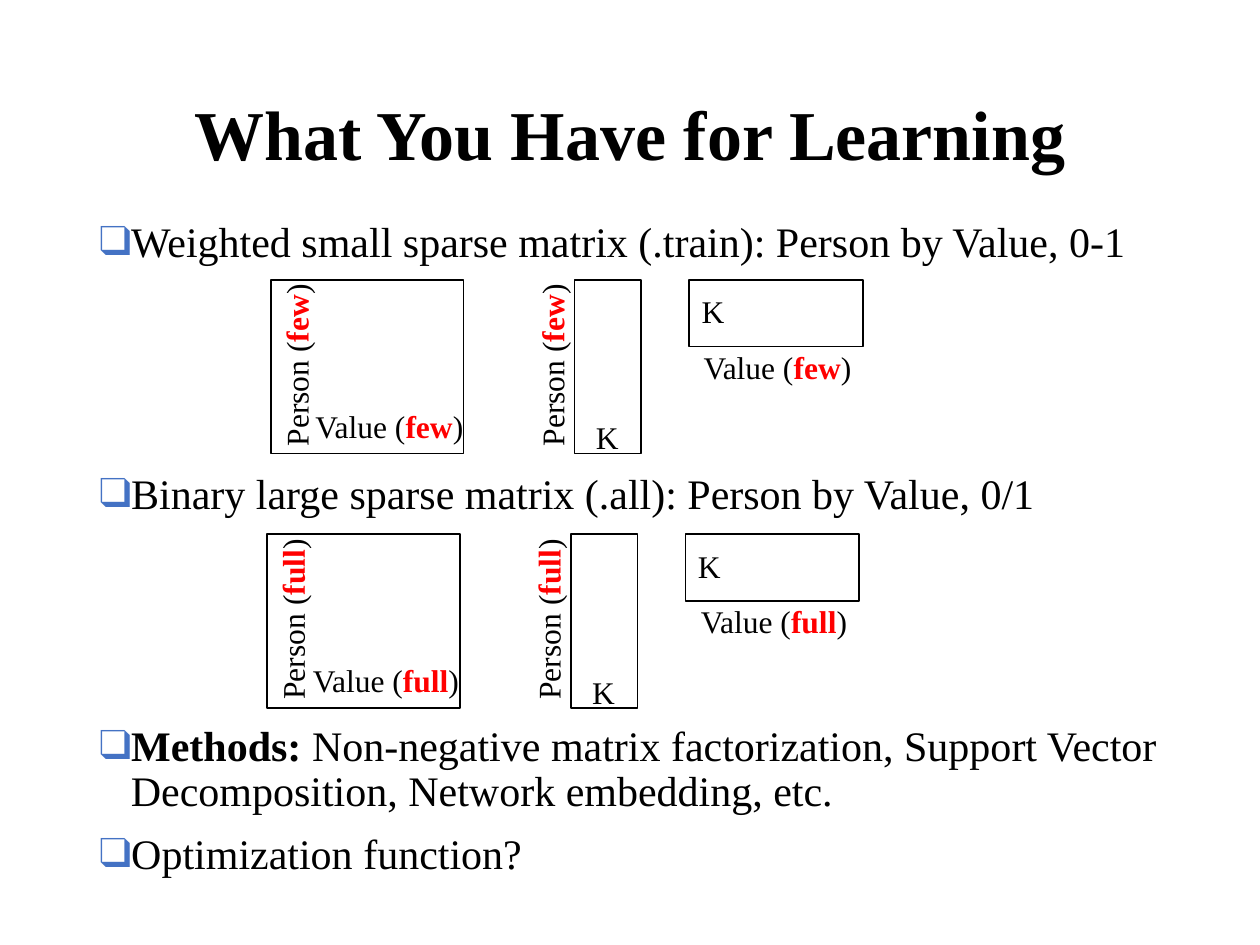
from dataclasses import dataclass

import pptx
import pptx.dml.color
import pptx.enum.shapes
import pptx.enum.text
import pptx.oxml
import pptx.oxml.ns
import pptx.util
from pptx.util import Inches

COLORS = {"text": "000000", "accent": "FF0000", "bullet": "4472C4"}
FONT = "Times New Roman"


@dataclass(frozen=True)
class Run:
    text: str
    bold: bool = False
    color: str = "text"


@dataclass(frozen=True)
class Matrix:
    left: float
    top: float
    width: float
    height: float


@dataclass(frozen=True)
class Label:
    text: str
    center_x: float
    center_y: float
    width: float
    rotation: int = 0
    sized: bool = True


@dataclass(frozen=True)
class Diagram:
    size: str
    left: float
    top: float
    trim: float


@dataclass(frozen=True)
class Bullet:
    runs: tuple[Run, ...]
    space_before: float


MATRICES = (
    Matrix(0, 0, 1.53, 1.38),
    Matrix(2.41, 0, 0.53, 1.38),
    Matrix(3.32, 0, 1.38, 0.53),
)
LABELS = (
    Label("Value", 0.95, 1.16, 1.39),
    Label("Person", 0.2, 0.67, 1.5, 270),
    Label("Person", 2.23, 0.67, 1.5, 270),
    Label("Value", 4.03, 0.69, 1.39),
    Label("K", 2.67, 1.25, 0.38, sized=False),
    Label("K", 3.51, 0.25, 0.38, sized=False),
)
DIAGRAMS = (Diagram("few", 2.15, 2.22, 0), Diagram("full", 2.12, 4.24, 0.02))
DIAGRAM_GAP = 118
BULLETS = (
    Bullet((Run("Weighted small sparse matrix (.train): Person by Value, 0-1"),), 0),
    Bullet((Run("Binary large sparse matrix (.all): Person by Value, 0/1"),), DIAGRAM_GAP),
    Bullet(
        (
            Run("Methods: ", bold=True),
            Run("Non-negative matrix factorization, Support Vector Decomposition, "
                "Network embedding, etc."),
        ),
        DIAGRAM_GAP,
    ),
    Bullet((Run("Optimization function?"),), 10),
)


def rgb(name: str) -> pptx.dml.color.RGBColor:
    return pptx.dml.color.RGBColor.from_string(COLORS[name])


def write_text(paragraph, runs, *, size, alignment=None, line_spacing=None, space_before=0) -> None:
    paragraph.alignment = alignment
    paragraph.line_spacing = line_spacing
    if space_before:
        paragraph.space_before = pptx.util.Pt(space_before)
    for item in runs:
        run = paragraph.add_run()
        run.text = item.text
        run.font.name = FONT
        run.font.size = pptx.util.Pt(size)
        run.font.bold = item.bold
        run.font.color.rgb = rgb(item.color)


def add_bullet_mark(paragraph) -> None:
    properties = paragraph._p.get_or_add_pPr()
    properties.set("marL", str(Inches(0.25)))
    properties.set("indent", str(Inches(-0.25)))
    namespace = pptx.oxml.ns.nsdecls("a")
    for markup in (
        f'<a:buClr {namespace}><a:srgbClr val="{COLORS["bullet"]}"/></a:buClr>',
        f'<a:buFont {namespace} typeface="{FONT}"/>',
        f'<a:buChar {namespace} char="❑"/>',
    ):
        properties.append(pptx.oxml.parse_xml(markup))


def add_title(slide) -> None:
    title = slide.shapes.title
    title.left, title.top = Inches(0.69), Inches(0.67)
    title.width, title.height = Inches(8.62), Inches(0.84)
    title.text_frame.auto_size = pptx.enum.text.MSO_AUTO_SIZE.NONE
    title.text_frame.vertical_anchor = pptx.enum.text.MSO_ANCHOR.MIDDLE
    write_text(
        title.text_frame.paragraphs[0],
        (Run("What You Have for Learning", bold=True),),
        size=40,
        alignment=pptx.enum.text.PP_ALIGN.CENTER,
        line_spacing=0.9,
    )


def add_bullets(slide) -> None:
    shape = slide.shapes.add_textbox(Inches(0.69), Inches(1.71), Inches(8.62), Inches(5.34))
    frame = shape.text_frame
    frame.word_wrap = True
    for index, bullet in enumerate(BULLETS):
        paragraph = frame.add_paragraph() if index else frame.paragraphs[0]
        add_bullet_mark(paragraph)
        write_text(paragraph, bullet.runs, size=24, line_spacing=0.9,
                   space_before=bullet.space_before)


def add_matrix(slide, matrix: Matrix, diagram: Diagram) -> None:
    shape = slide.shapes.add_shape(
        pptx.enum.shapes.MSO_SHAPE.RECTANGLE,
        Inches(diagram.left + matrix.left),
        Inches(diagram.top + matrix.top),
        Inches(matrix.width),
        Inches(matrix.height),
    )
    shape.shadow.inherit = False
    shape.fill.background()
    shape.line.color.rgb = rgb("text")
    shape.line.width = pptx.util.Pt(1)


def add_label(slide, label: Label, diagram: Diagram) -> None:
    height = 0.4
    width = label.width - (diagram.trim if label.sized else 0)
    shape = slide.shapes.add_textbox(
        Inches(diagram.left + label.center_x - width / 2),
        Inches(diagram.top + label.center_y - height / 2),
        Inches(width),
        Inches(height),
    )
    shape.rotation = label.rotation
    shape.text_frame.word_wrap = False
    shape.text_frame.auto_size = pptx.enum.text.MSO_AUTO_SIZE.SHAPE_TO_FIT_TEXT
    runs = (Run(label.text),)
    if label.sized:
        runs = (Run(f"{label.text} ("), Run(diagram.size, True, "accent"), Run(")"))
    write_text(shape.text_frame.paragraphs[0], runs, size=18)


def main() -> None:
    presentation = pptx.Presentation()
    presentation.slide_width, presentation.slide_height = Inches(10), Inches(7.5)
    slide = presentation.slides.add_slide(presentation.slide_layouts[5])
    add_title(slide)
    add_bullets(slide)
    for diagram in DIAGRAMS:
        for matrix in MATRICES:
            add_matrix(slide, matrix, diagram)
        for label in LABELS:
            add_label(slide, label, diagram)
    presentation.save("out.pptx")


if __name__ == "__main__":
    main()
